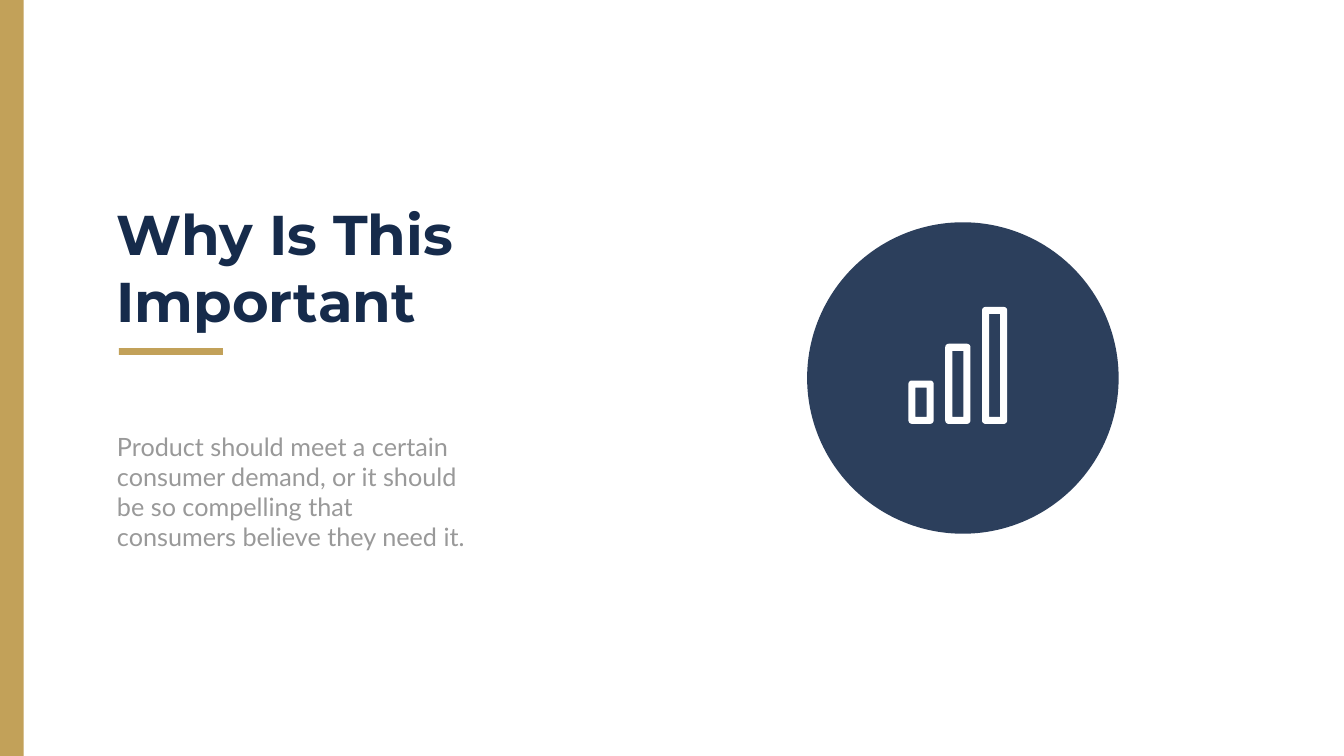
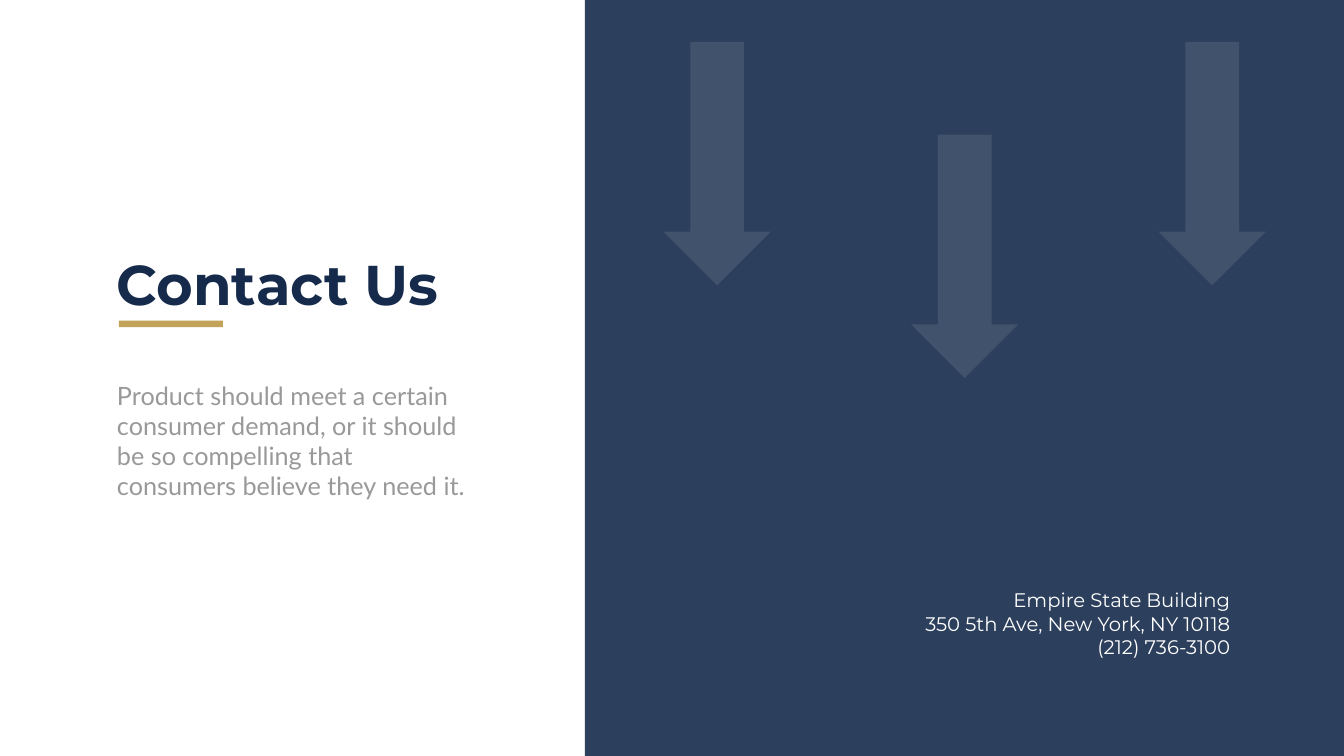
from math import cos, pi, sin

from lxml.etree import SubElement
from pptx import Presentation
from pptx.dml.color import RGBColor
from pptx.enum.shapes import MSO_SHAPE
from pptx.enum.text import MSO_ANCHOR, MSO_AUTO_SIZE, PP_ALIGN
from pptx.oxml.ns import qn
from pptx.util import Inches, Pt

COLORS = {"navy": "162B4B", "gold": "C2A159", "gray": "999999", "white": "FFFFFF"}
PITCH = ("Product should meet a certain consumer demand, or it should "
         "be so compelling that consumers believe they need it.")


class Deck:
    """Holds the shared style and the slide being built."""

    def __init__(self):
        self.prs = Presentation()
        self.prs.slide_width, self.prs.slide_height = Inches(26.66), Inches(15)
        self.slide = None

    def start(self):
        self.slide = self.prs.slides.add_slide(self.prs.slide_layouts[5])

    def paint(self, shape, color, alpha=100):
        shape.shadow.inherit = False
        shape.fill.solid()
        shape.fill.fore_color.rgb = RGBColor.from_string(COLORS[color])
        shape.line.fill.background()
        if alpha < 100:
            tone = shape._element.spPr.find(qn("a:solidFill"))[0]
            SubElement(tone, qn("a:alpha"), val=str(alpha * 1000))

    def shape(self, kind, x, y, w, h, color, alpha=100, turn=0):
        item = self.slide.shapes.add_shape(
            kind, Inches(x), Inches(y), Inches(w), Inches(h))
        item.rotation = turn
        self.paint(item, color, alpha)

    def style(self, box, text, font, size, color, bold=False,
              align=PP_ALIGN.LEFT, wrap=True, pitch=None):
        frame = box.text_frame
        frame.text = text
        frame.word_wrap = wrap
        frame.auto_size = MSO_AUTO_SIZE.SHAPE_TO_FIT_TEXT
        frame.vertical_anchor = MSO_ANCHOR.TOP
        for para in frame.paragraphs:
            para.alignment = align
            if pitch:
                para.line_spacing = Pt(pitch)
            for run in para.runs:
                run.font.name, run.font.size = font, Pt(size)
                run.font.bold = bold
                run.font.color.rgb = RGBColor.from_string(COLORS[color])
        return frame

    def box(self, x, y, w, h):
        return self.slide.shapes.add_textbox(
            Inches(x), Inches(y), Inches(w), Inches(h))

    def title(self, text, y, w, h):
        box = self.slide.shapes.title
        box.left, box.top = Inches(2.21), Inches(y)
        box.width, box.height = Inches(w), Inches(h)
        frame = self.style(box, text, "Montserrat", 80, "navy", bold=True)
        frame.margin_left = frame.margin_right = Inches(0.1)
        frame.margin_top = frame.margin_bottom = Inches(0.05)

    def rule(self, y):
        self.shape(MSO_SHAPE.RECTANGLE, 2.36, y, 2.06, 0.13, "gold")

    def body(self, text, y):
        frame = self.style(self.box(2.08, y, 7.42, 2.65), text,
                           "Lato", 36, "gray", pitch=43)
        frame.margin_left = frame.margin_right = Inches(0.24)
        frame.margin_top = frame.margin_bottom = Inches(0.12)

    def bar(self, x, y, w, h, edge=0.14, radius=0.07):
        """Draw a hollow bar with rounded outer corners."""
        outer = []
        corners = [(x + w - radius, y + h - radius), (x + radius, y + h - radius),
                   (x + radius, y + radius), (x + w - radius, y + radius)]
        for turn, (cx, cy) in enumerate(corners):
            for step in range(7):
                angle = (turn + step / 6) * pi / 2
                outer.append((cx + radius * cos(angle), cy + radius * sin(angle)))
        left, right = x + edge, x + w - edge
        top, low = y + edge, y + h - edge
        inner = [(left, top), (right, top), (right, low), (left, low)]
        outer, inner = ([(Inches(a), Inches(b)) for a, b in ring]
                        for ring in (outer, inner[::-1]))
        pen = self.slide.shapes.build_freeform(*outer[0], scale=1.0)
        pen.add_line_segments(outer[1:], close=True)
        pen.move_to(*inner[0])
        pen.add_line_segments(inner[1:], close=True)
        self.paint(pen.convert_to_shape(), "white")


def reason(deck):
    deck.start()
    deck.body(PITCH, 8.44)
    deck.title("Why Is This Important", 3.9, 7.42, 2.79)
    deck.rule(6.91)

    # Bar icon on a disc
    deck.shape(MSO_SHAPE.OVAL, 16.01, 4.41, 6.18, 6.18, "navy", 90)
    for i in range(3):
        tall = 0.86 + 0.73 * i
        deck.bar(18.02 + 0.73 * i, 8.41 - tall, 0.5, tall)

    # Side band
    deck.shape(MSO_SHAPE.RECTANGLE, 0, 0, 0.47, 15, "gold")


def contact(deck):
    deck.start()

    # Panel with address
    deck.shape(MSO_SHAPE.RECTANGLE, 11.6, 0, 15.06, 15, "navy", 90)
    deck.style(deck.box(18.14, 11.62, 6.36, 1.51),
               "Empire State Building\n350 5th Ave, New York, NY 10118\n(212) 736-3100",
               "Montserrat", 28, "white", align=PP_ALIGN.RIGHT, wrap=False)

    deck.body(PITCH, 7.43)
    deck.title("Contact Us", 4.91, 7.29, 1.45)
    deck.rule(6.36)

    # Arrows pointing down, the middle one lower
    for i, y in enumerate((2.18, 4.02, 2.18)):
        deck.shape(MSO_SHAPE.RIGHT_ARROW, 11.81 + 4.91 * i, y, 4.83, 2.13,
                   "white", 10, turn=90)


def main():
    deck = Deck()
    reason(deck)
    contact(deck)
    deck.prs.save("out.pptx")


if __name__ == "__main__":
    main()
